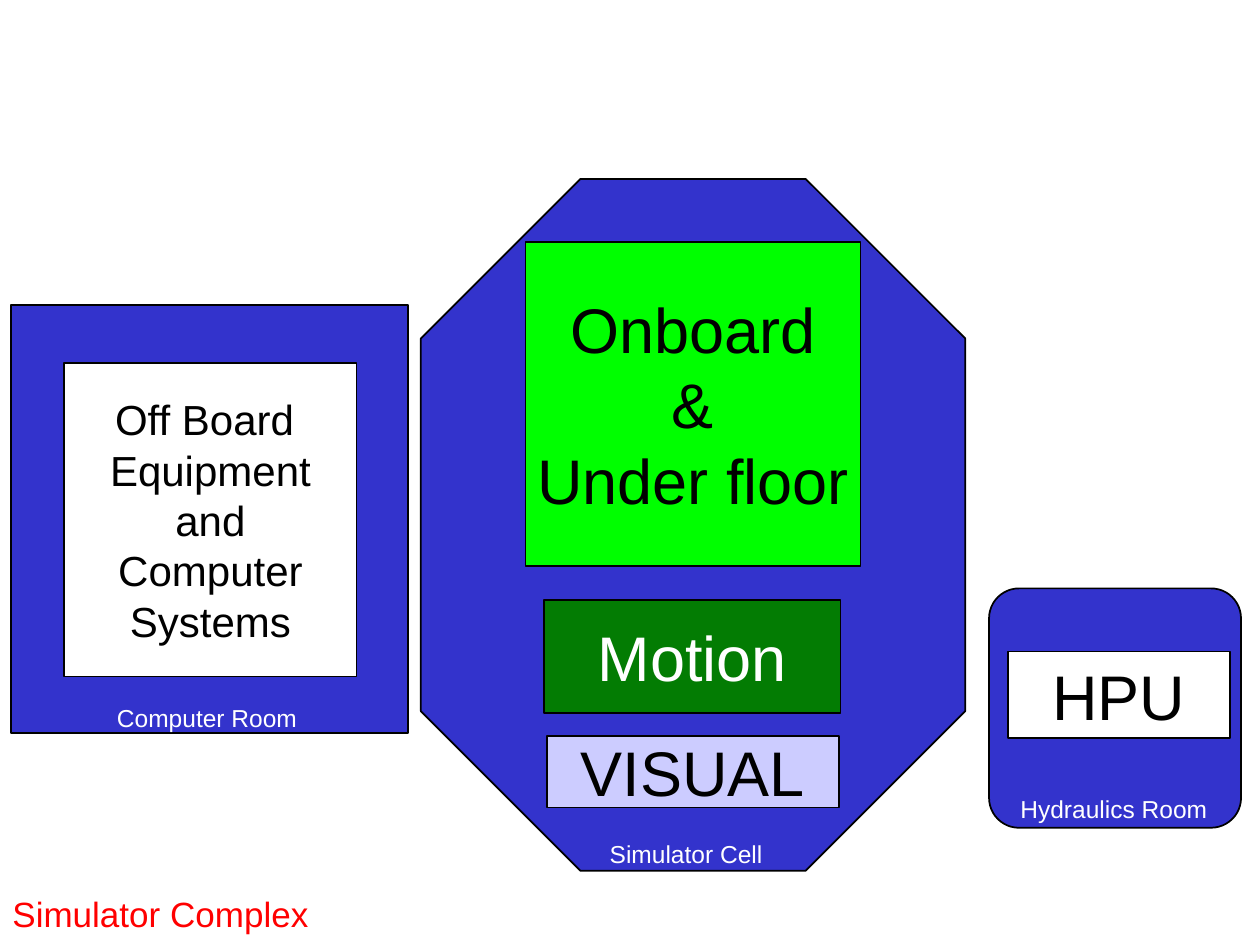
from dataclasses import dataclass

from pptx import Presentation
from pptx import util as u
from pptx.dml.color import RGBColor
from pptx.enum import shapes, text

BLACK, WHITE, RED = "000000", "FFFFFF", "FF0000"
ROOM_BLUE, LIME, GREEN, LAVENDER = "3333CC", "00FF00", "037C03", "CCCCFF"
SHAPE = shapes.MSO_SHAPE
ALIGN = text.PP_ALIGN
ANCHOR = text.MSO_ANCHOR


@dataclass
class Box:
    left: float
    top: float
    width: float
    height: float


@dataclass
class Room:
    box: Box
    kind: SHAPE
    name: str
    name_box: Box
    adjust: float | None = None


@dataclass
class Unit:
    box: Box
    fill: str
    lines: tuple[str, ...]
    color: str = BLACK
    size: int = 36


ROOMS = [
    Room(Box(0.09, 2.42, 3.15, 3.4), SHAPE.RECTANGLE,
         "Computer Room", Box(0.83, 5.53, 1.64, 0.33)),
    Room(Box(7.85, 4.67, 2, 1.9), SHAPE.ROUNDED_RECTANGLE,
         "Hydraulics Room", Box(8, 6.25, 1.69, 0.33), 0.125),
    Room(Box(3.34, 1.42, 4.32, 5.49), SHAPE.OCTAGON,
         "Simulator Cell", Box(4.74, 6.61, 1.42, 0.33), 0.293),
]
UNITS = [
    Unit(Box(0.51, 2.88, 2.32, 2.49), WHITE,
         ("Off Board ", "Equipment", "and", "Computer", "Systems"), size=24),
    Unit(Box(8, 5.17, 1.76, 0.69), WHITE, ("HPU",)),
    Unit(Box(4.17, 1.92, 2.66, 2.57), LIME, ("Onboard", "&", "Under floor")),
    Unit(Box(4.32, 4.76, 2.35, 0.9), GREEN, ("Motion",), WHITE),
    Unit(Box(4.34, 5.84, 2.32, 0.57), LAVENDER, ("VISUAL",)),
]


def rgb(value: str) -> RGBColor:
    return RGBColor.from_string(value)


def place(box: Box) -> list[u.Length]:
    return [u.Inches(v) for v in (box.left, box.top, box.width, box.height)]


def write(sp, lines: tuple[str, ...], size: int, color: str,
          align: ALIGN, frame: dict) -> None:
    tf = sp.text_frame
    for name, value in frame.items():
        setattr(tf, name, value)
    for i, line in enumerate(lines):
        p = tf.paragraphs[0] if i == 0 else tf.add_paragraph()
        p.alignment = align
        r = p.add_run()
        r.text = line
        for name, value in {"name": "Arial", "size": u.Pt(size)}.items():
            setattr(r.font, name, value)
        r.font.color.rgb = rgb(color)


def add_block(s, kind: SHAPE, box: Box, fill: str):
    sp = s.shapes.add_shape(kind, *place(box))
    sp.shadow.inherit = False
    sp.fill.solid()
    sp.fill.fore_color.rgb = rgb(fill)
    sp.line.color.rgb = rgb(BLACK)
    sp.line.width = u.Pt(1)
    return sp


def add_room(s, room: Room) -> None:
    sp = add_block(s, room.kind, room.box, ROOM_BLUE)
    if room.adjust is not None:
        sp.adjustments[0] = room.adjust


def add_unit(s, unit: Unit) -> None:
    sp = add_block(s, SHAPE.RECTANGLE, unit.box, unit.fill)
    write(sp, unit.lines, unit.size, unit.color, ALIGN.CENTER,
          {"word_wrap": False, "vertical_anchor": ANCHOR.MIDDLE})


def add_label(s, box: Box, label: str, size: int, color: str, frame: dict) -> None:
    sp = s.shapes.add_textbox(*place(box))
    write(sp, (label,), size, color, ALIGN.LEFT, frame)


def main() -> None:
    prs = Presentation()
    prs.slide_width, prs.slide_height = u.Inches(10), u.Inches(7.5)
    s = prs.slides.add_slide(prs.slide_layouts[6])
    for room in ROOMS:
        add_room(s, room)
    for unit in UNITS:
        add_unit(s, unit)
    for room in ROOMS:
        add_label(s, room.name_box, room.name, 14, WHITE,
                  {"word_wrap": False,
                   "auto_size": text.MSO_AUTO_SIZE.SHAPE_TO_FIT_TEXT})
    add_label(s, Box(0, 7, 8.62, 0.5), "Simulator Complex", 20, RED,
              {"word_wrap": True, "vertical_anchor": ANCHOR.MIDDLE})
    prs.save("out.pptx")


if __name__ == "__main__":
    main()
